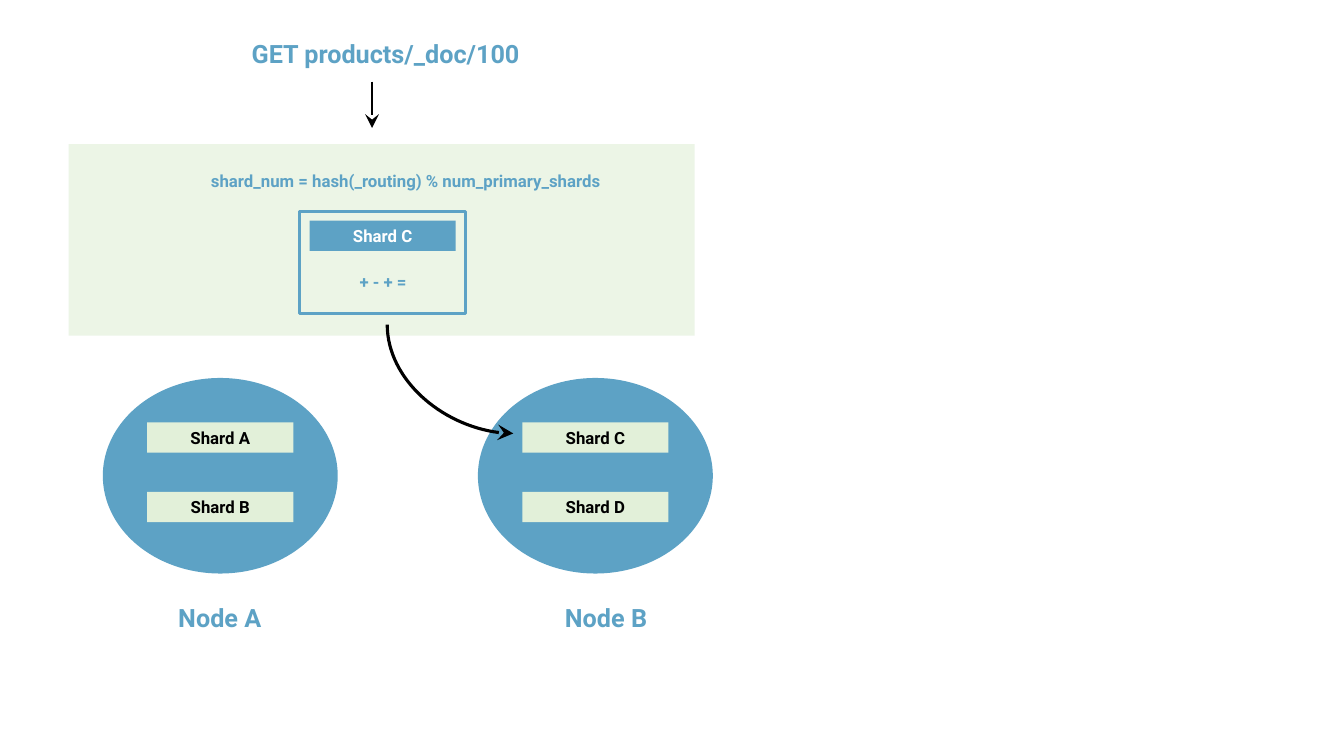
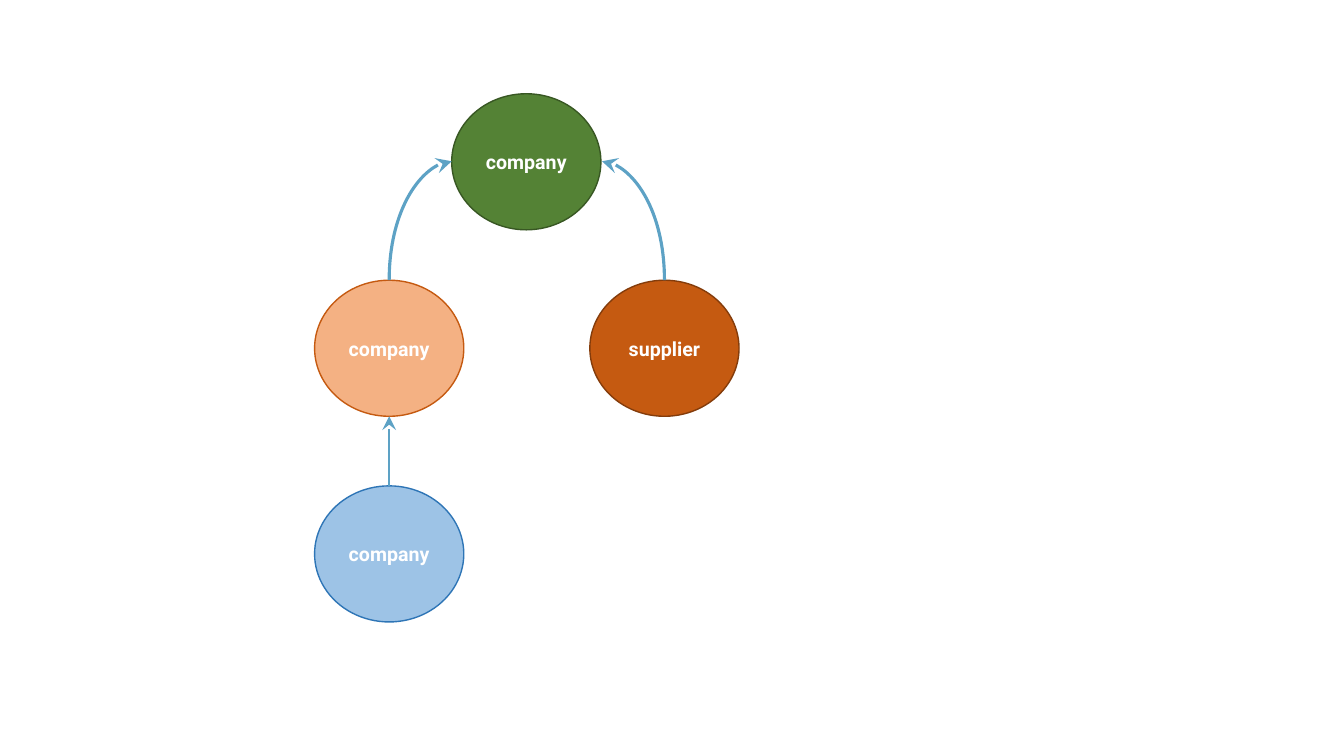
from lxml import etree
from pptx import Presentation
from pptx.dml.color import RGBColor
from pptx.enum.shapes import MSO_CONNECTOR, MSO_SHAPE
from pptx.enum.text import MSO_ANCHOR, PP_ALIGN
from pptx.oxml.ns import qn
from pptx.util import Inches, Pt

RECTANGLE = MSO_SHAPE.RECTANGLE
OVAL = MSO_SHAPE.OVAL
STRAIGHT = MSO_CONNECTOR.STRAIGHT
CURVE = MSO_CONNECTOR.CURVE
CENTER = PP_ALIGN.CENTER
MIDDLE = MSO_ANCHOR.MIDDLE

FONT = "Roboto"
COLORS = {
    "blue": "5DA2C5",
    "pale_green": "E2F0D9",
    "black": "000000",
    "white": "FFFFFF",
    "green": "548235",
    "dark_green": "385723",
    "peach": "F4B183",
    "orange": "C55A11",
    "brown": "843C0B",
    "sky": "9DC3E6",
    "strong_blue": "2E75B6",
}


def color(name):
    return RGBColor.from_string(COLORS[name])


def write(shape, text, *, size=12, ink="blue", wrap=True):
    frame = shape.text_frame
    frame.word_wrap = wrap
    frame.vertical_anchor = MIDDLE
    paragraph = frame.paragraphs[0]
    paragraph.text = text
    paragraph.alignment = CENTER
    font = paragraph.font
    font.name = FONT
    font.size = Pt(size)
    font.bold = True
    font.color.rgb = color(ink)


class Deck:
    def __init__(self):
        self.presentation = Presentation()
        self.presentation.slide_width = Inches(13.33)
        self.presentation.slide_height = Inches(7.5)
        self.slide = None

    def new_slide(self):
        self.slide = self.presentation.slides.add_slide(self.presentation.slide_layouts[6])

    def label(self, text, *box, **style):
        write(self.slide.shapes.add_textbox(*map(Inches, box)), text, **style)

    def shape(self, kind, *box, fill=None, alpha=None, line=None, width=1):
        shape = self.slide.shapes.add_shape(kind, *map(Inches, box))
        shape.shadow.inherit = False
        if fill:
            shape.fill.solid()
            shape.fill.fore_color.rgb = color(fill)
        else:
            shape.fill.background()
        if alpha:
            fill_color = shape.element.spPr.find(".//" + qn("a:srgbClr"))
            etree.SubElement(fill_color, qn("a:alpha"), val=str(alpha * 1000))
        if line:
            shape.line.color.rgb = color(line)
            shape.line.width = Pt(width)
        else:
            shape.line.fill.background()
        return shape

    def shard(self, text, left, top, fill="pale_green", ink="black"):
        write(self.shape(RECTANGLE, left, top, 1.45, 0.3, fill=fill), text, ink=ink)

    def arrow(self, start, end, ink, kind=STRAIGHT, width=1.5):
        connector = self.slide.shapes.add_connector(kind, *map(Inches, (*start, *end)))
        connector.line.color.rgb = color(ink)
        connector.line.width = Pt(width)
        properties = connector.element.spPr
        etree.SubElement(properties.get_or_add_ln(), qn("a:tailEnd"), type="stealth", w="lg", len="lg")
        etree.SubElement(properties, qn("a:effectLst"))
        return connector

    def curved_arrow(self, start, end, ink):
        middle_x, middle_y = (start[0] + end[0]) / 2, (start[1] + end[1]) / 2
        offset_x, offset_y = start[0] - middle_x, start[1] - middle_y
        connector = self.arrow(
            (middle_x - offset_y, middle_y + offset_x),
            (middle_x + offset_y, middle_y - offset_x),
            ink, kind=CURVE, width=2.25,
        )
        properties = connector.element.spPr
        properties.find(qn("a:xfrm")).set("rot", str(270 * 60000))
        properties.find(qn("a:prstGeom")).set("prst", "curvedConnector2")

    def node(self, name, left, label_left, shards):
        self.shape(OVAL, left, 3.75, 2.33, 1.94, fill="blue")
        for row, shard in enumerate(shards):
            self.shard(shard, left + 0.44, 4.19 + row * 0.69)
        self.label(name, label_left, 5.93, 1.32, 0.4, size=18)

    def entity(self, text, left, top, fill, line):
        circle = self.shape(OVAL, left, top, 1.48, 1.35, fill=fill, line=line)
        write(circle, text, size=14, ink="white", wrap=False)


def build_routing(deck):
    deck.new_slide()
    deck.shape(RECTANGLE, 0.68, 1.43, 6.21, 1.9, fill="pale_green", alpha=64)
    deck.label("GET products/_doc/100", 1.49, 0.33, 4.67, 0.4, size=18)
    deck.label("shard_num = hash(_routing) % num_primary_shards", 1.69, 1.64, 4.67, 0.3)
    deck.shape(RECTANGLE, 2.97, 2.1, 1.65, 1.01, line="blue", width=2.25)
    deck.shard("Shard C", 3.07, 2.19, fill="blue", ink="white")
    deck.label("+ - + =", 3.24, 2.65, 1.12, 0.3)
    deck.node("Node A", 1.02, 1.52, ("Shard A", "Shard B"))
    deck.node("Node B", 4.74, 5.35, ("Shard C", "Shard D"))
    deck.arrow((3.69, 0.81), (3.69, 1.27), "black")
    deck.curved_arrow((3.84, 3.22), (5.09, 4.3), "black")


def build_hierarchy(deck):
    deck.new_slide()
    deck.entity("company", 4.48, 0.93, "green", "dark_green")
    deck.entity("company", 3.12, 2.78, "peach", "orange")
    deck.entity("company", 3.12, 4.82, "sky", "strong_blue")
    deck.entity("supplier", 5.85, 2.78, "orange", "brown")
    deck.arrow((3.86, 4.82), (3.86, 4.13), "blue")
    deck.curved_arrow((3.86, 2.78), (4.48, 1.6), "blue")
    deck.curved_arrow((6.59, 2.78), (5.97, 1.6), "blue")


def main():
    deck = Deck()
    build_routing(deck)
    build_hierarchy(deck)
    deck.presentation.save("out.pptx")


if __name__ == "__main__":
    main()
